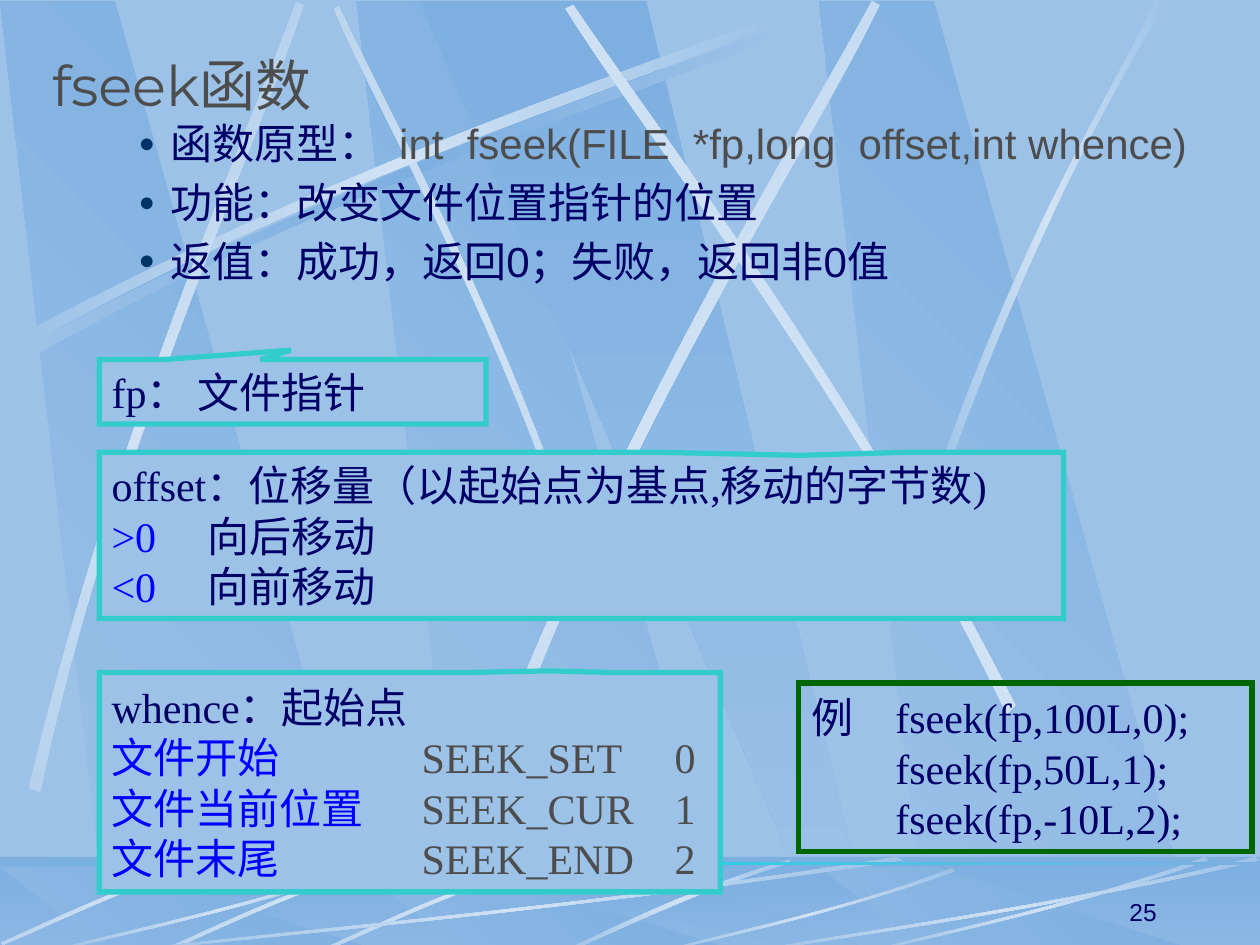
from dataclasses import dataclass

from lxml.etree import SubElement
from pptx import Presentation
from pptx.dml.color import RGBColor
from pptx.enum.shapes import MSO_SHAPE
from pptx.enum.text import MSO_ANCHOR, MSO_AUTO_SIZE, PP_ALIGN
from pptx.oxml import parse_xml
from pptx.oxml.ns import nsdecls, qn
from pptx.util import Cm, Pt


@dataclass(frozen=True)
class Theme:
    sky: str = "9CC2E8"
    shade: str = "7DAFE1"
    glow: str = "D0E2F4"
    horizon: str = "26D2E4"
    navy: str = "000066"
    gray: str = "4D4D4D"
    blue: str = "0000FF"
    bullet: str = "003366"
    callout: str = "33CCCC"
    example: str = "006600"
    title: int = 32
    text: int = 24
    number: int = 14
    heading: str = "Montserrat"
    sans: str = "Arial"
    serif: str = "Times New Roman"


T = Theme()
UNIT = Cm(2.54)  # backdrop coordinates are multiples of this
SHEEN = (T.sky, T.glow, T.sky)


# Fills and outlines
def gradient(shape, colors, angle=0):
    stops = "".join(
        f'<a:gs pos="{i * 100000 // (len(colors) - 1)}"><a:srgbClr val="{c}"/></a:gs>'
        for i, c in enumerate(colors))
    shape.fill.background()
    old = shape._element.spPr.find(qn("a:noFill"))
    old.getparent().replace(old, parse_xml(
        f'<a:gradFill {nsdecls("a")} rotWithShape="1"><a:gsLst>{stops}</a:gsLst>'
        f'<a:lin ang="{int(angle * 60000)}" scaled="0"/></a:gradFill>'))
    shape.line.fill.background()
    shape.shadow.inherit = False


def outline(g, points, colors, angle=0):
    pts = [(round(x * UNIT), round(y * UNIT)) for x, y in points]
    builder = g.shapes.build_freeform(*pts[0], scale=1.0)
    builder.add_line_segments(pts[1:], close=True)
    sp = builder.convert_to_shape()
    gradient(sp, colors, angle)
    return sp


def band(g, top, height, colors, angle=0):
    sp = g.shapes.add_shape(MSO_SHAPE.RECTANGLE, 0, Cm(top), Cm(25.4), Cm(height))
    gradient(sp, colors, angle)
    return sp


def streak(g, curve, at=(0, 0), scale=(1, 1), colors=SHEEN, angle=0):
    pts = [(at[0] + x * scale[0], at[1] + y * scale[1]) for x, y in curve]
    sp = outline(g, pts, colors, angle)
    # Turn both long sides into Bezier curves
    sides = list(sp._element.iter(qn("a:lnTo")))
    for side in (sides[:3], sides[4:7]):
        bezier = parse_xml(f'<a:cubicBezTo {nsdecls("a")}/>')
        side[0].addprevious(bezier)
        for segment in side:
            bezier.append(segment[0])
            segment.getparent().remove(segment)


# Backdrop
def panes(g, top, bottom):
    for x in (2.83, 0, 6.5):
        outline(g, [(x + 0.86, bottom), (x + 3.02, bottom), (x + 0.91, top), (x, top)],
                (T.sky, T.shade), 315)
    outline(g, [(3.33, top), (6.58, bottom), (6.94, bottom), (5.13, top)],
            (T.shade, T.sky), 90)


def sky(g):
    panes(g, 0.01, 7.52)
    sweep = [(0.2, 2.75), (2.84, 1.34), (5.24, 0.59), (6.26, 0.18),
             (6.29, 0.24), (5.28, 0.69), (2.54, 1.51), (0.23, 2.85)]
    streak(g, sweep, colors=(T.sky, T.shade, T.sky))
    rays = [
        (315, [(4.6, 4.36), (3.91, 2.34), (3.02, 0.77), (2.69, 0.05),
               (2.65, 0.07), (2.95, 0.79), (3.98, 2.58), (4.54, 4.39)]),
        (0, [(x - 0.06, y - 0.08) for x, y in sweep]),
        (48.3, [(0.23, 6.25), (0.93, 3.34), (1.97, 1.05), (2.35, 0.02),
                (2.41, 0.04), (2.07, 1.09), (0.86, 3.68), (0.32, 6.29)]),
        (38.4, [(3.85, 6.14), (4.98, 3.2), (6.38, 1.02), (6.92, 0.01),
                (6.98, 0.04), (6.49, 1.08), (4.86, 3.55), (3.94, 6.21)]),
        (325.3, [(8.06, 5.6), (6.7, 2.93), (5.16, 0.95), (4.55, 0.04),
                 (4.49, 0.07), (5.07, 1.01), (6.85, 3.25), (7.99, 5.67)]),
        (0, [(7.38, 3.94), (8.14, 1.73), (8.88, 0.66), (9.17, 0),
             (9.27, 0), (8.36, 1.45), (7.69, 3.22), (7.44, 3.97)]),
    ]
    for angle, curve in rays:
        streak(g, curve, angle=angle)


def floor(g):
    band(g, 17.27, 1.9, (T.shade, T.sky), 90)
    panes(g, 6.88, 7.55)
    veil = band(g, 17.27, 1.9, (T.shade, T.shade))
    veil.fill.solid()
    veil.fill.fore_color.rgb = RGBColor.from_string(T.shade)
    SubElement(veil._element.spPr.find(".//" + qn("a:srgbClr")), qn("a:alpha"), val="50000")
    streak(g, [(6.27, 6.82), (5.37, 7.09), (4.77, 7.42), (4.48, 7.54),
               (4.53, 7.55), (4.9, 7.38), (5.71, 7), (6.28, 6.85)])
    short = [(4.42, 6.8), (3.55, 7.05), (2.87, 7.4), (2.56, 7.53),
             (2.57, 7.55), (2.88, 7.43), (3.65, 7.03), (4.44, 6.83)]
    for at in ((0, 0), (-1.25, 0), (-2.55, -0.05)):
        streak(g, short, at, angle=45)
    long = [(1, 0.04), (0.57, 0.57), (0.17, 0.85), (0.01, 1),
            (0, 0.99), (0.17, 0.81), (0.62, 0.51), (0.99, 0)]
    for x, y, w in ((1, 6.8, 6.17), (0.42, 6.8, 2.67), (5.27, 6.89, 2.31),
                    (6.92, 6.8, 2.67), (6, 6.8, 4)):
        streak(g, long, (x, y), (w, 7.55 - y))
    band(g, 17.37, 0.06, (T.shade, T.horizon, T.shade))


def backdrop(prs, s):
    master = prs.slide_master
    master.background.fill.solid()
    master.background.fill.fore_color.rgb = RGBColor.from_string(T.sky)
    g = s.shapes.add_group_shape()
    sky(g)
    floor(g)
    master.shapes._spTree.insert(2, g._element)


# Text
def place(sp, box):
    for name, value in zip(("left", "top", "width", "height"), box):
        setattr(sp, name, Cm(value))


def write(sp, paragraphs, size=T.text, font=T.serif, tabs=(), frame=None, **para):
    tf = sp.text_frame
    settings = {"word_wrap": True, "auto_size": MSO_AUTO_SIZE.NONE,
                "vertical_anchor": MSO_ANCHOR.MIDDLE, **(frame or {})}
    for name, value in settings.items():
        setattr(tf, name, value)
    for i, runs in enumerate(paragraphs):
        p = tf.paragraphs[0] if i == 0 else tf.add_paragraph()
        for name, value in {"alignment": PP_ALIGN.LEFT, **para}.items():
            setattr(p, name, value)
        for text, color in runs:
            r = p.add_run()
            r.text = text
            for name, value in {"name": font, "size": Pt(size), "bold": False}.items():
                setattr(r.font, name, value)
            r.font.color.rgb = RGBColor.from_string(color)
        if tabs:
            stops = SubElement(p._p.get_or_add_pPr(), qn("a:tabLst"))
            for x in tabs:
                SubElement(stops, qn("a:tab"), pos=str(Cm(x)), algn="l")


def bullet(p):
    pPr = p._p.get_or_add_pPr()
    for name, value in {"marL": Cm(3.18), "indent": Cm(-0.64)}.items():
        pPr.set(name, str(value))
    SubElement(SubElement(pPr, qn("a:buClr")), qn("a:srgbClr"), val=T.bullet)
    SubElement(pPr, qn("a:buSzPct"), val="65000")
    SubElement(pPr, qn("a:buFont"), typeface=T.sans)
    SubElement(pPr, qn("a:buChar"), char="●")


def panel(s, kind, box, color, paragraphs, adjust=(), tabs=()):
    sp = s.shapes.add_shape(kind, *map(Cm, box))
    for i, value in enumerate(adjust):
        sp.adjustments[i] = value
    sp.shadow.inherit = False
    if adjust:
        sp.fill.solid()
        sp.fill.fore_color.rgb = RGBColor.from_string(T.sky)
    else:
        sp.fill.background()
    sp.line.color.rgb = RGBColor.from_string(color)
    sp.line.width = Pt(3)
    SubElement(sp._element.spPr.find(qn("a:ln")), qn("a:miter"), lim="800000")
    write(sp, paragraphs, tabs=tabs)


def main():
    prs = Presentation()
    prs.slide_width, prs.slide_height = Cm(25.4), Cm(19.05)
    s = prs.slides.add_slide(prs.slide_layouts[1])
    backdrop(prs, s)

    # Prototype, purpose and return value
    body, title = s.placeholders[1], s.shapes.title
    place(body, (0, 0.89, 24.33, 5.61))
    write(body, [
        [("函数原型：  ", T.navy), ("int  fseek(FILE  *fp,long  offset,int whence)", T.gray)],
        [("功能：改变文件位置指针的位置", T.navy)],
        [("返值：成功，返回0；失败，返回非0值", T.navy)],
    ], font=T.sans, level=1, space_before=Pt(4.8),
        frame={"vertical_anchor": MSO_ANCHOR.TOP, "margin_top": Cm(1.48)})
    body.text_frame.paragraphs[0].space_before = Pt(0)
    for p in body.text_frame.paragraphs:
        bullet(p)

    # Parameter callouts
    origins = [("文件开始", "SEEK_SET"), ("文件当前位置", "SEEK_CUR"), ("文件末尾", "SEEK_END")]
    callouts = [
        ((2, 7.25, 7.8, 1.3), (-0.004, -0.647), (), [[("fp： 文件指针", T.navy)]]),
        ((2, 9.12, 19.44, 3.35), (0.227, -0.482), (1.94,),
         [[("offset：位移量（以起始点为基点,移动的字节数)", T.navy)]]
         + [[(sign + "\t", T.blue), (move, T.navy)]
            for sign, move in ((">0", "向后移动"), ("<0", "向前移动"))]),
        ((2, 13.56, 12.52, 4.42), (0.224, -0.508), (6.25, 11.35),
         [[("whence：起始点", T.navy)]]
         + [[(origin + "\t", T.blue), (f"{constant}\t{i}", T.gray)]
            for i, (origin, constant) in enumerate(origins)]),
    ]
    for box, adjust, tabs, paragraphs in callouts:
        panel(s, MSO_SHAPE.RECTANGULAR_CALLOUT, box, T.callout, paragraphs, adjust, tabs)

    # Example calls
    calls = ("例\tfseek(fp,100L,0);", "\tfseek(fp,50L,1);", "\tfseek(fp,-10L,2);")
    panel(s, MSO_SHAPE.RECTANGLE, (16.1, 13.77, 9.14, 3.4), T.example,
          [[(call, T.navy)] for call in calls], tabs=(1.7,))

    # Title and slide number
    s.shapes._spTree.append(title._element)
    place(title, (0, 0.89, 7.34, 1.6))
    write(title, [[("fseek函数", T.gray)]], T.title, T.heading, alignment=PP_ALIGN.CENTER)
    number = s.shapes.add_textbox(*map(Cm, (18.29, 17.53, 5.28, 1.27)))
    write(number, [[("25", T.navy)]], T.number, T.sans, alignment=PP_ALIGN.RIGHT,
          frame={"vertical_anchor": MSO_ANCHOR.BOTTOM})
    prs.save("out.pptx")


main()
